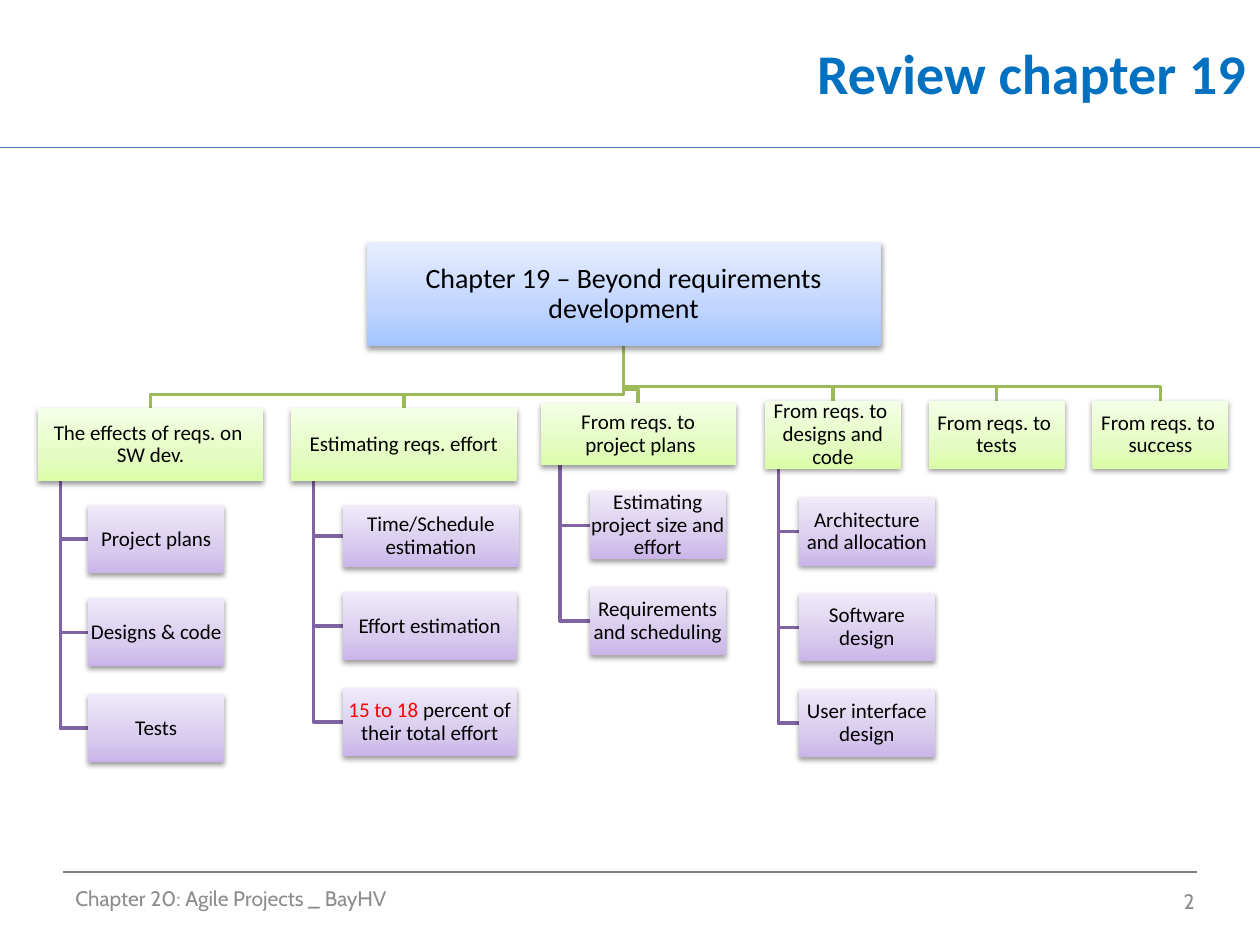
from copy import deepcopy

from lxml import etree
from pptx import Presentation
from pptx.dml.color import RGBColor
from pptx.enum.shapes import MSO_CONNECTOR, MSO_SHAPE
from pptx.enum.text import MSO_ANCHOR, PP_ALIGN
from pptx.oxml import parse_xml
from pptx.oxml.ns import nsdecls, qn
from pptx.util import Inches, Pt

COLORS = {
    "title": "0070C0", "title_rule": "4B7EBC", "footer_rule": "808080",
    "footer": "8C8C8C", "text": "000000", "lead": "FF0000",
    "branch_line": "9BBB59", "leaf_line": "8064A2",
}
GRADIENTS = {  # bottom to top
    "root": ("A4C4FF", "BFD4FF", "E6EEFF"),
    "branch": ("DAFDA7", "E4FCC2", "F5FFE7"),
    "leaf": ("C9B5E8", "D8CBEE", "F0EAF9"),
}
STOPS = (0, 0.35, 1)
SHADOW = (
    f'<a:effectLst {nsdecls("a")}><a:outerShdw blurRad="40000" dist="20000" '
    'dir="5400000" rotWithShape="0"><a:srgbClr val="000000">'
    '<a:alpha val="38000"/></a:srgbClr></a:outerShdw></a:effectLst>'
)

# The slide is a grid of 100 columns by 75 rows of equal square cells.
SLIDE_W, SLIDE_H = Inches(10), Inches(7.5)
CELL = SLIDE_W // 100

ROOT = (29.1, 19.2, 40.8, 8.3)
ROOT_TEXT = "Chapter 19 – Beyond requirements development"
LEAF_W, LEAF_H = 10.8, 5.4
DROP = 1.1  # from the branch bus down to a branch box
LEAD = "15 to 18 "

# Branch text, its box, column of its leaves, and (text, row, width, height) of each
BRANCHES = [
    ("The effects of reqs. on \nSW dev.", (3, 32.4, 17.9, 5.8), 7, [
        ("Project plans", 40.1, LEAF_W, LEAF_H),
        ("Designs & code", 47.5, LEAF_W, LEAF_H),
        ("Tests", 55.1, LEAF_W, LEAF_H)]),
    ("Estimating reqs. effort", (23.1, 32.4, 17.9, 5.8), 27.2, [
        ("Time/Schedule estimation", 40.1, 14, 4.9),
        ("Effort estimation", 47, 13.8, LEAF_H),
        (LEAD + "percent of their total effort", 54.6, 13.8, LEAF_H)]),
    ("From reqs. to\n project plans", (42.9, 32, 15.5, 4.9), 46.8, [
        ("Estimating project size and effort", 39, LEAF_W, LEAF_H),
        ("Requirements and scheduling", 46.6, LEAF_W, LEAF_H)]),
    ("From reqs. to \ndesigns and code", (60.7, 31.8, LEAF_W, LEAF_H), 63.4, [
        ("Architecture and allocation", 39.5, LEAF_W, LEAF_H),
        ("Software design", 47.1, LEAF_W, LEAF_H),
        ("User interface design", 54.7, LEAF_W, LEAF_H)]),
    ("From reqs. to \ntests", (73.7, 31.8, LEAF_W, LEAF_H), None, []),
    ("From reqs. to \nsuccess", (86.7, 31.8, LEAF_W, LEAF_H), None, []),
]


def cells(*counts):
    return [round(n * CELL) for n in counts]


def rgb(name):
    return RGBColor.from_string(COLORS[name])


def style(p, size, color, font="Calibri", align=PP_ALIGN.LEFT, bold=False):
    p.alignment = align
    p.font.size = Pt(size)
    p.font.name = font
    p.font.bold = bold
    p.font.color.rgb = rgb(color)


def add_title(s, text):
    title = s.shapes.title
    title.left, title.top, title.width, title.height = cells(29, 0, 70.9, 11.5)
    tf = title.text_frame
    tf.text = text
    tf.vertical_anchor = MSO_ANCHOR.MIDDLE
    style(tf.paragraphs[0], 32, "title", align=PP_ALIGN.RIGHT, bold=True)


def add_rule(s, x1, x2, y, color):
    line = s.shapes.add_connector(MSO_CONNECTOR.STRAIGHT, *cells(x1, y, x2, y))
    line.line.color.rgb = rgb(color)
    line.line.width = Pt(0.75)
    etree.SubElement(line._element.spPr, qn("a:effectLst"))


def add_footer_text(s, text, box, align):
    tf = s.shapes.add_textbox(*cells(*box)).text_frame
    tf.word_wrap = True
    tf.vertical_anchor = MSO_ANCHOR.MIDDLE
    tf.text = text
    style(tf.paragraphs[0], 12, "footer", "Cabin", align)


def add_path(s, points, color):
    """Draw an open line through grid points."""
    start, *rest = [cells(*point) for point in points]
    builder = s.shapes.build_freeform(*start)
    builder.add_line_segments(rest, close=False)
    sp = builder.convert_to_shape()
    sp.shadow.inherit = False
    sp.fill.background()
    sp.line.color.rgb = rgb(color)
    sp.line.width = Pt(2)


def add_branch_line(s, box):
    left, top, width, _ = box
    x = ROOT[0] + ROOT[2] / 2
    center = left + width / 2
    bus = top - DROP
    add_path(s, [(x, ROOT[1] + ROOT[3]), (x, bus), (center, bus), (center, top)],
             "branch_line")


def add_leaf_line(s, box, leaf_left, leaf_middle):
    left, top, width, height = box
    x = left + width / 10
    add_path(s, [(x, top + height), (x, leaf_middle), (leaf_left, leaf_middle)],
             "leaf_line")


def fill_gradient(sp, colors):
    sp.fill.gradient()
    sp.fill.gradient_angle = 90
    first = sp._element.spPr.find(".//" + qn("a:gs"))
    first.addnext(deepcopy(first))
    for stop, position, color in zip(sp.fill.gradient_stops, STOPS, colors):
        stop.position = position
        stop.color.rgb = RGBColor.from_string(color)


def add_box(s, text, box, level, size=12):
    sp = s.shapes.add_shape(MSO_SHAPE.RECTANGLE, *cells(*box))
    fill_gradient(sp, GRADIENTS[level])
    sp.line.fill.background()
    sp._element.spPr.append(parse_xml(SHADOW))
    tf = sp.text_frame
    tf.word_wrap = True
    tf.vertical_anchor = MSO_ANCHOR.MIDDLE
    tf.margin_left = tf.margin_right = tf.margin_top = tf.margin_bottom = Inches(0.01)
    p = tf.paragraphs[0]
    if text.startswith(LEAD):
        r = p.add_run()
        r.text = LEAD
        r.font.color.rgb = rgb("lead")
        p.add_run().text = text.removeprefix(LEAD)
    else:
        p.text = text
    p.line_spacing = 0.9
    style(p, size, "text", align=PP_ALIGN.CENTER)


def add_tree(s):
    for _, box, leaf_left, leaves in BRANCHES:
        add_branch_line(s, box)
        for _, top, _, height in leaves:
            add_leaf_line(s, box, leaf_left, top + height / 2)
    add_box(s, ROOT_TEXT, ROOT, "root", 16)
    for text, box, leaf_left, leaves in BRANCHES:
        add_box(s, text, box, "branch")
        for leaf_text, top, width, height in leaves:
            add_box(s, leaf_text, (leaf_left, top, width, height), "leaf")


def main():
    prs = Presentation()
    prs.slide_width, prs.slide_height = SLIDE_W, SLIDE_H
    s = prs.slides.add_slide(prs.slide_layouts[5])
    add_rule(s, 0, 100, 11.7, "title_rule")
    add_rule(s, 5, 95, 69.2, "footer_rule")
    add_title(s, "Review chapter 19")
    add_footer_text(s, "Chapter 20: Agile Projects _ BayHV", (5, 69.3, 66.7, 4),
                    PP_ALIGN.LEFT)
    add_footer_text(s, "2", (72.5, 69.5, 23.3, 4), PP_ALIGN.RIGHT)
    add_tree(s)
    prs.save("out.pptx")


if __name__ == "__main__":
    main()
